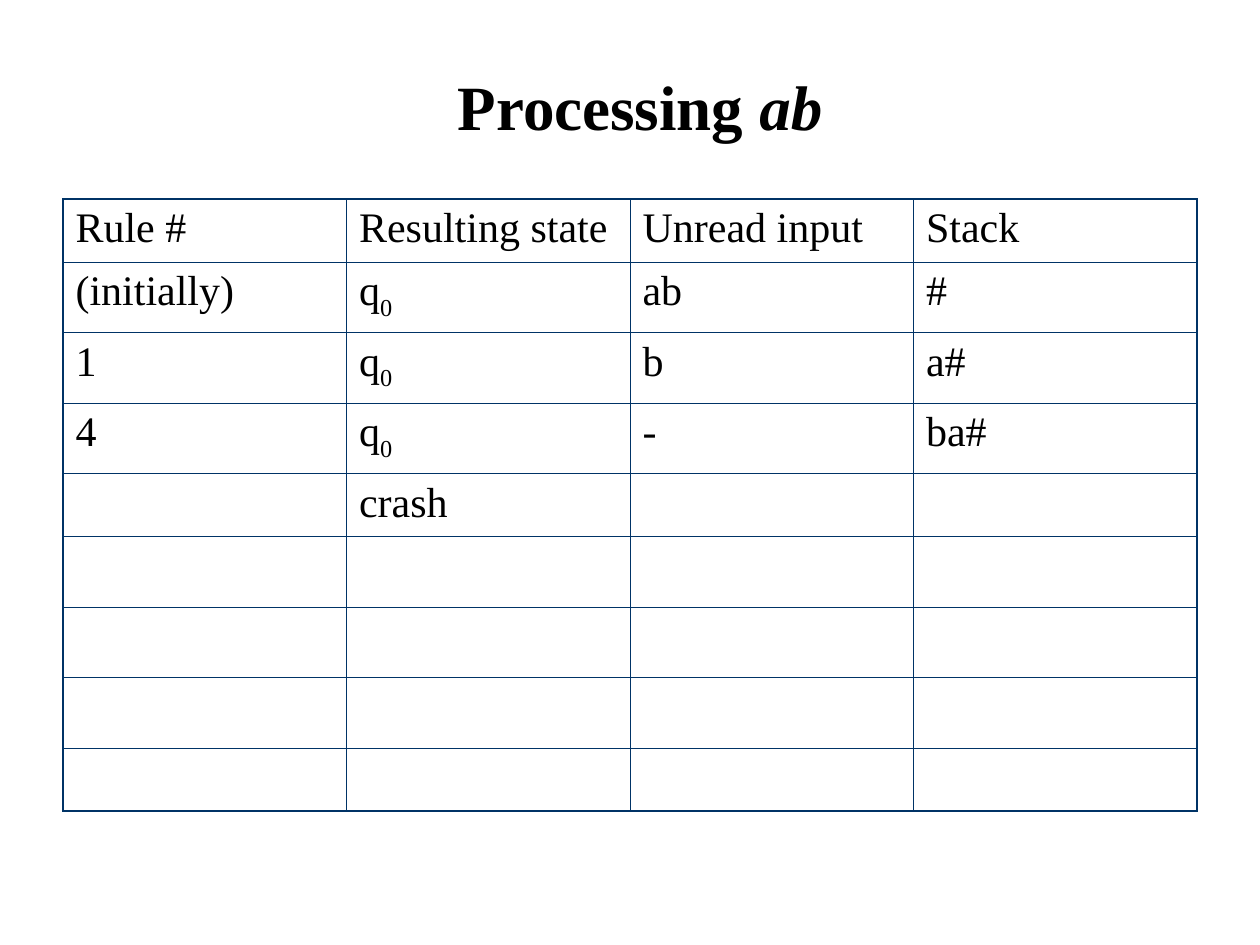
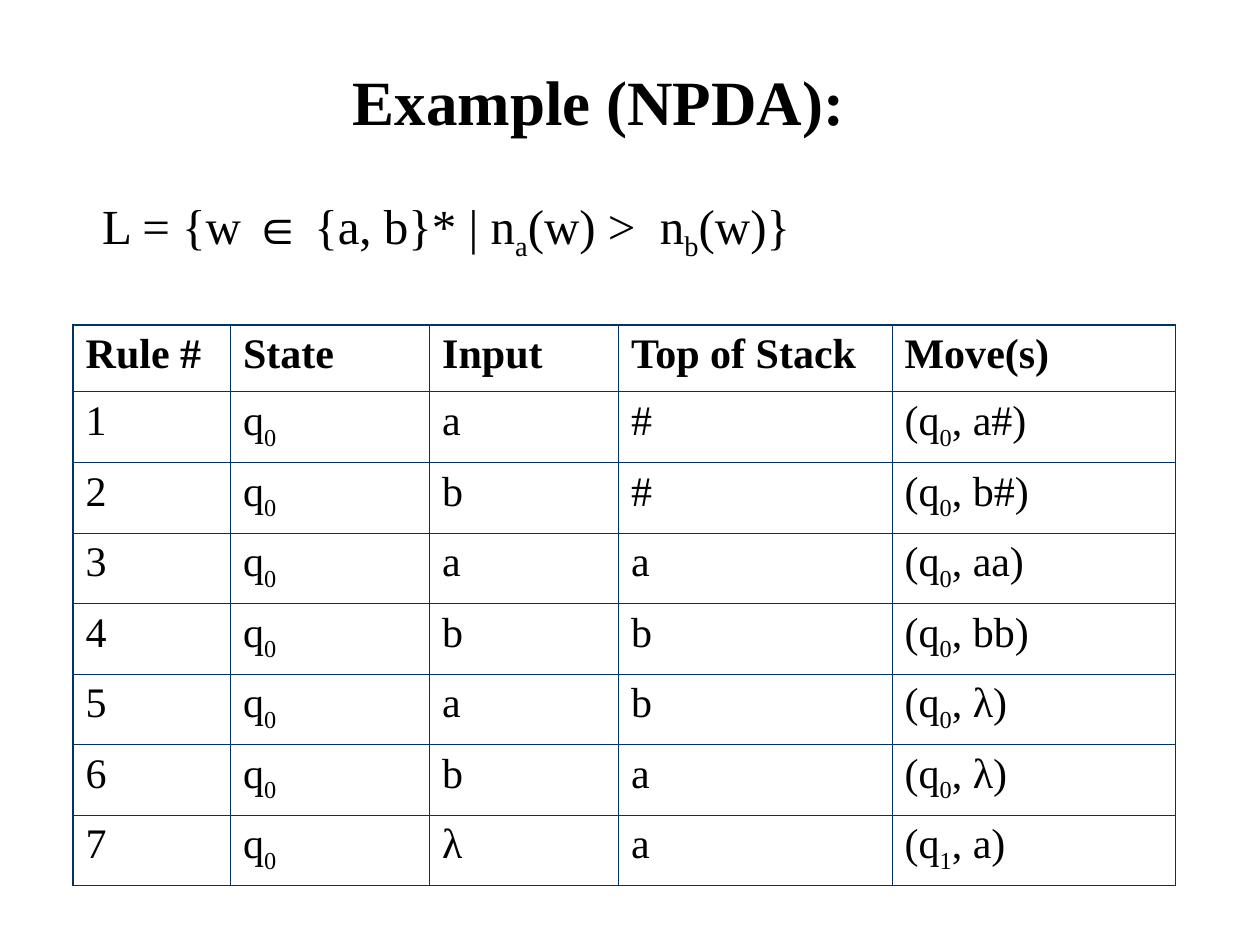
from lxml.etree import SubElement
from pptx import Presentation
from pptx.dml.color import RGBColor
from pptx.enum.text import MSO_ANCHOR as Anchor, MSO_AUTO_SIZE as AutoSize, PP_ALIGN as Align
from pptx.oxml.ns import qn
from pptx.util import Inches, Pt

COLORS = {"text": "000000", "border": "003366"}
FONT = "Times New Roman"
THIN, THICK = Pt(0.45), Pt(1.08)


def add_runs(paragraph, text, size, bold=False):
    """Add text to the paragraph; a character after "_" becomes a subscript."""
    first, *rest = text.split("_")
    pieces = [(first, False)]
    for part in rest:
        pieces += [(part[0], True), (part[1:], False)]
    for piece, is_subscript in pieces:
        if not piece:
            continue
        run = paragraph.add_run()
        run.text = piece
        run.font.name = FONT
        run.font.size = Pt(size)
        run.font.bold = bold
        run.font.color.rgb = RGBColor.from_string(COLORS["text"])
        if is_subscript:
            run.font._element.set("baseline", "-25000")
    return paragraph.runs[-1]


def add_grid(slide, left, top, column_widths, row_heights, rows, header_bold):
    """Add an unfilled table with thin inner lines and a thick outline."""
    table = slide.shapes.add_table(
        len(row_heights), len(column_widths), Inches(left), Inches(top),
        Inches(sum(column_widths)), Inches(sum(row_heights))).table
    table.first_row = table.horz_banding = False
    for column, width in zip(table.columns, column_widths):
        column.width = Inches(width)
    for row, height in zip(table.rows, row_heights):
        row.height = Inches(height)

    last_row, last_column = len(row_heights) - 1, len(column_widths) - 1
    for row_index, row in enumerate(table.rows):
        for column_index, cell in enumerate(row.cells):
            properties = cell._tc.get_or_add_tcPr()
            on_outline = {"lnL": column_index == 0, "lnR": column_index == last_column,
                          "lnT": row_index == 0, "lnB": row_index == last_row}
            for side, is_outer in on_outline.items():
                line = SubElement(properties, qn(f"a:{side}"), w=str(THICK if is_outer else THIN))
                line_fill = SubElement(line, qn("a:solidFill"))
                SubElement(line_fill, qn("a:srgbClr"), val=COLORS["border"])
            cell.fill.background()
            if row_index < len(rows) and rows[row_index][column_index]:
                paragraph = cell.text_frame.paragraphs[0]
                paragraph.space_before = Pt(6)
                add_runs(paragraph, rows[row_index][column_index], 24,
                         header_bold and row_index == 0)


presentation = Presentation()
presentation.slide_width = Inches(10)
presentation.slide_height = Inches(7.5)
title_only, title_and_body = presentation.slide_layouts[5], presentation.slide_layouts[1]

# Titles
slides = []
for layout, title_text, left, height in [
    (title_only, "Processing ", 0.83, 1.25),
    (title_and_body, "Example (NPDA):", 0.5, 1.17),
]:
    slide = presentation.slides.add_slide(layout)
    title = slide.shapes.title
    title.left, title.top = Inches(left), Inches(0.25)
    title.width, title.height = Inches(8.5), Inches(height)
    title.text_frame.vertical_anchor = Anchor.MIDDLE
    title.text_frame.auto_size = AutoSize.NONE
    paragraph = title.text_frame.paragraphs[0]
    paragraph.alignment = Align.CENTER
    paragraph.line_spacing = 0.9
    add_runs(paragraph, title_text, 36, bold=True)
    slides.append(slide)
processing_slide, example_slide = slides

# Processing trace
word = add_runs(processing_slide.shapes.title.text_frame.paragraphs[0], "ab", 36, bold=True)
word.font.italic = True
trace_rows = [
    ("Rule #", "Resulting state", "Unread input", "Stack"),
    ("(initially)", "q_0", "ab", "#"),
    ("1", "q_0", "b", "a#"),
    ("4", "q_0", "-", "ba#"),
    ("", "crash", "", ""),
]
add_grid(processing_slide, 0.5, 1.58, [2.25] * 4,
         [0.5] + ([0.56] * 3 + [0.5]) * 2, trace_rows, header_bold=False)

# Language definition
body = example_slide.placeholders[1]
body.left, body.top = Inches(0.33), Inches(1.5)
body.width, body.height = Inches(8.5), Inches(0.75)
body.text_frame.auto_size = AutoSize.NONE
definition = body.text_frame.paragraphs[0]
definition.space_before = Pt(7)
paragraph_properties = definition._p.get_or_add_pPr()
paragraph_properties.set("marL", str(Inches(0.38)))
paragraph_properties.set("indent", "0")
SubElement(paragraph_properties, qn("a:buNone"))
add_runs(definition, "L = {w ", 28)
add_runs(definition, "∈", 28).font.name = "Arial"
add_runs(definition, " {a, b}* | n_a(w) >  n_b(w)}", 28)

# Transition rules
transitions = [
    ("a", "#", "(q_0, a#)"),
    ("b", "#", "(q_0, b#)"),
    ("a", "a", "(q_0, aa)"),
    ("b", "b", "(q_0, bb)"),
    ("a", "b", "(q_0, λ)"),
    ("b", "a", "(q_0, λ)"),
    ("λ", "a", "(q_1, a)"),
]
rule_rows = [("Rule #", "State", "Input", "Top of Stack", "Move(s)")]
for number, transition in enumerate(transitions, start=1):
    rule_rows.append((str(number), "q_0", *transition))
add_grid(example_slide, 0.58, 2.58, [1.25, 1.58, 1.5, 2.17, 2.25],
         [0.53] + [0.56] * 7, rule_rows, header_bold=True)

presentation.save("out.pptx")
